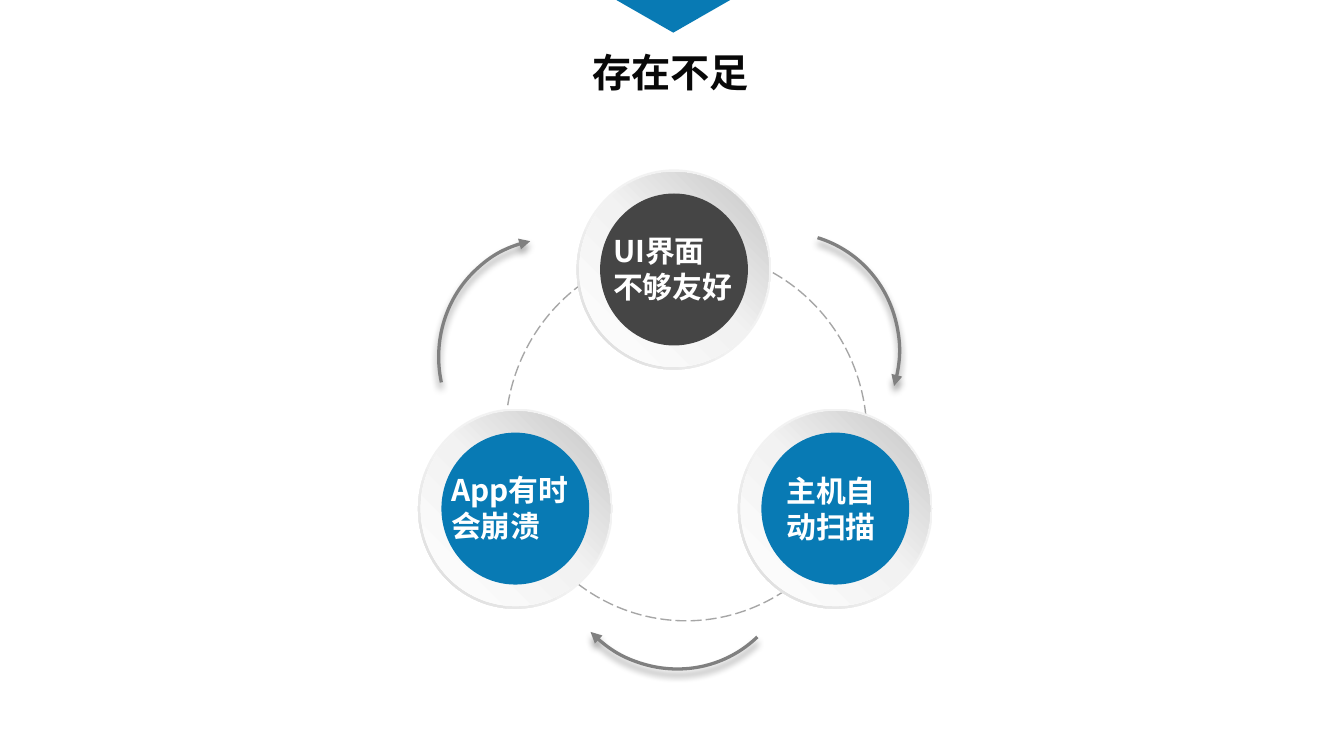
"""Build the slide showing three shortcomings linked in a cycle."""
from lxml.etree import SubElement
from pptx import Presentation
from pptx.dml.color import RGBColor
from pptx.enum.dml import MSO_LINE
from pptx.enum.shapes import MSO_SHAPE
from pptx.enum.text import MSO_AUTO_SIZE, PP_ALIGN
from pptx.oxml.ns import qn
from pptx.util import Pt

COLORS = {
    "blue": "087AB4", "dark": "454545", "title": "080808", "white": "FFFFFF",
    "arrow": "808080", "dash": "A6A6A6", "pale": "F2F2F2", "edge": "D9D9D9",
    "shade": "C5C5C5", "black": "000000",
}
CJK_FONT = "Noto Sans CJK SC"
RIM = [(0, "pale"), (55, "pale"), (100, "edge")]
DISC = [(0, "white"), (51, "pale"), (100, "shade")]


def rgb(name):
    return RGBColor.from_string(COLORS[name])


def add_shape(s, kind, x, y, w, h, fill=None, line=None, weight=1):
    sp = s.shapes.add_shape(kind, Pt(x), Pt(y), Pt(w), Pt(h))
    style(sp, fill, line, weight)
    return sp


def style(sp, fill=None, line=None, weight=1):
    sp.shadow.inherit = False
    if fill:
        sp.fill.solid()
        sp.fill.fore_color.rgb = rgb(fill)
    else:
        sp.fill.background()
    if line:
        sp.line.color.rgb = rgb(line)
        sp.line.width = Pt(weight)
    else:
        sp.line.fill.background()


def set_gradient(sp, stops, angle):
    sp.fill.gradient()
    sp.fill.gradient_angle = angle
    gs_list = sp._element.spPr.find(".//" + qn("a:gsLst"))
    for gs in list(gs_list):
        gs_list.remove(gs)
    for pos, color in stops:
        gs = SubElement(gs_list, qn("a:gs"), pos=str(pos * 1000))
        SubElement(gs, qn("a:srgbClr"), val=COLORS[color])


def add_text(s, text, x, y, w, h, size=16, font=CJK_FONT, color="white",
             align=PP_ALIGN.LEFT):
    tf = s.shapes.add_textbox(Pt(x), Pt(y), Pt(w), Pt(h)).text_frame
    tf.word_wrap = True
    tf.auto_size = MSO_AUTO_SIZE.SHAPE_TO_FIT_TEXT
    p = tf.paragraphs[0]
    p.alignment = align
    r = p.add_run()
    r.text = text
    r.font.size = Pt(size)
    r.font.bold = True
    r.font.name = font
    r.font.color.rgb = rgb(color)
    SubElement(r._r.rPr, qn("a:ea"), typeface=CJK_FONT)


def add_centered(s, kind, cx, cy, w, h, fill=None):
    return add_shape(s, kind, cx - w / 2, cy - h / 2, w, h, fill)


def add_badge(s, cx, cy, color, text, text_x, text_y, text_w):
    rim = add_centered(s, MSO_SHAPE.DONUT, cx, cy, 104.4, 107.3)
    rim.adjustments[0] = 0.05
    set_gradient(rim, RIM, 225)
    disc = add_centered(s, MSO_SHAPE.OVAL, cx, cy, 101.5, 104.4)
    set_gradient(disc, DISC, 45)
    add_centered(s, MSO_SHAPE.OVAL, cx, cy, 79.2, 81.4, color)
    add_text(s, text, text_x, text_y, text_w, 46)


def add_arc_arrow(s, x, y, w, h, rotation):
    sp = add_shape(s, MSO_SHAPE.ARC, x, y, w, h, line="arrow", weight=1.75)
    sp.rotation = rotation
    SubElement(sp.line._get_or_add_ln(), qn("a:tailEnd"), type="triangle")
    effects = sp._element.spPr.find(qn("a:effectLst"))
    shadow = SubElement(effects, qn("a:outerShdw"), blurRad=str(Pt(4)),
                        dist=str(Pt(3)), dir="5400000", rotWithShape="0")
    color = SubElement(shadow, qn("a:srgbClr"), val=COLORS["black"])
    SubElement(color, qn("a:alpha"), val="40000")


def add_pointer(s):
    builder = s.shapes.build_freeform(Pt(330.2), Pt(0))
    builder.add_line_segments([(Pt(391.2), Pt(0)), (Pt(360.7), Pt(17.5))])
    style(builder.convert_to_shape(), "blue")


def main():
    prs = Presentation()
    prs.slide_width, prs.slide_height = Pt(720), Pt(405)
    s = prs.slides.add_slide(prs.slide_layouts[6])

    orbit = add_shape(s, MSO_SHAPE.OVAL, 270.7, 133.9, 193.7, 198.7,
                      line="dash", weight=0.75)
    orbit.line.dash_style = MSO_LINE.LONG_DASH

    for badge in [
        (361.1, 144.4, "dark", "UI界面不够友好", 321.3, 121, 79),
        (276.1, 272.5, "blue", "App有时会崩溃", 234.6, 249.1, 83.5),
        (447.5, 272.5, "blue", "主机自动扫描", 414.2, 249.8, 63),
    ]:
        add_badge(s, *badge)

    for arrow in [
        (357.1, 124.6, 124.6, 128.2, 16.9),
        (298.8, 231.1, 124.6, 128.2, 135.9),
        (233.3, 129.6, 128.2, 124.6, 258),
    ]:
        add_arc_arrow(s, *arrow)

    add_text(s, "存在不足", 245.5, 22.3, 227.5, 32.4, size=21, font="Calibri",
             color="title", align=PP_ALIGN.CENTER)
    add_pointer(s)
    prs.save("out.pptx")


if __name__ == "__main__":
    main()
